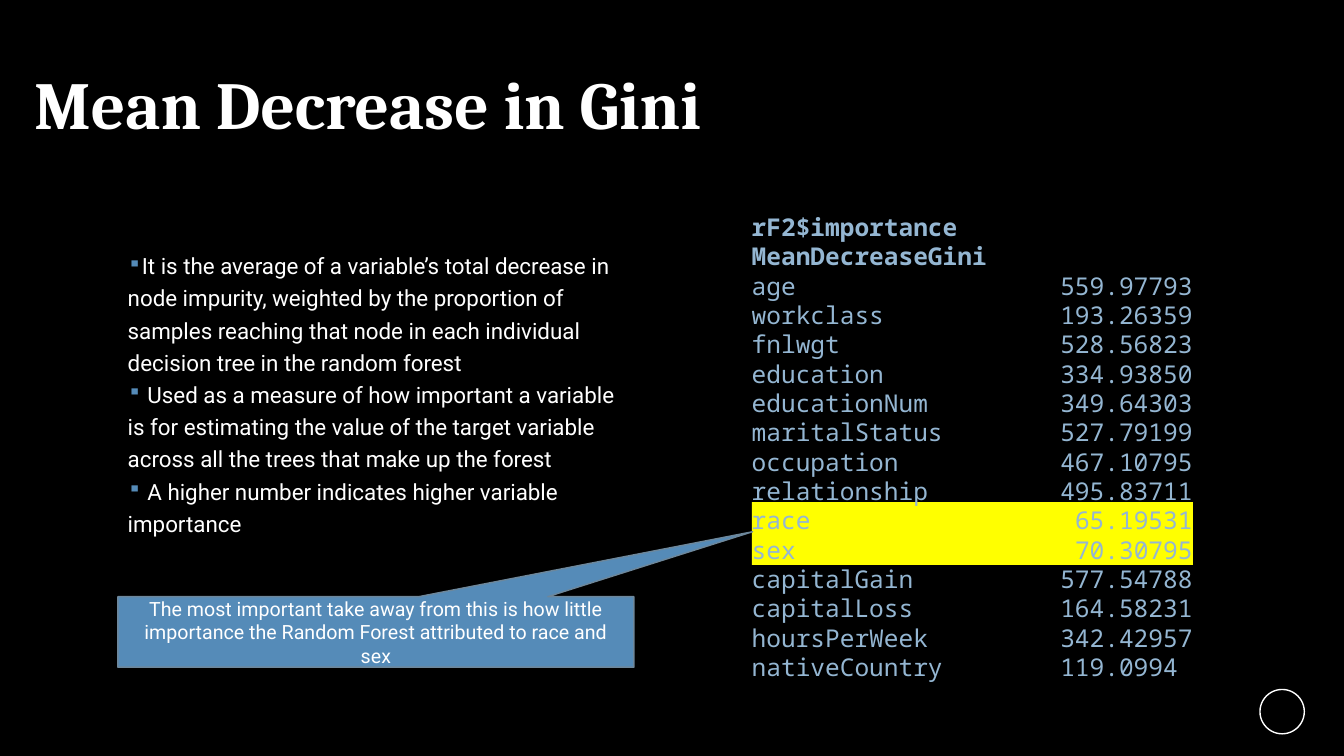
from lxml.etree import SubElement
from pptx import Presentation
from pptx.dml.color import RGBColor
from pptx.enum.shapes import MSO_SHAPE as Shape
from pptx.enum.text import MSO_ANCHOR as Anchor, PP_ALIGN as Align
from pptx.oxml.ns import qn
from pptx.util import Pt

COLORS = {
    "black": "000000",
    "white": "FFFFFF",
    "blue": "558BB8",
    "edge": "6D879B",
    "pale": "94B6D2",
    "yellow": "FFFF00",
}
BULLETS = [
    "It is the average of a variable’s total decrease in node impurity, weighted by the "
    "proportion of samples reaching that node in each individual decision tree in the random forest",
    " Used as a measure of how important a variable is for estimating the value of the target "
    "variable across all the trees that make up the forest",
    " A higher number indicates higher variable importance",
]
HEADINGS = ["rF2$importance", "MeanDecreaseGini"]
IMPORTANCE = [
    ("age", "559.97793"),
    ("workclass", "193.26359"),
    ("fnlwgt", "528.56823"),
    ("education", "334.93850"),
    ("educationNum", "349.64303"),
    ("maritalStatus", "527.79199"),
    ("occupation", "467.10795"),
    ("relationship", "495.83711"),
    ("race", "65.19531"),
    ("sex", "70.30795"),
    ("capitalGain", "577.54788"),
    ("capitalLoss", "164.58231"),
    ("hoursPerWeek", "342.42957"),
    ("nativeCountry", "119.0994"),
]
DECIMALS = 5
CHAR_WIDTH = 10.5
TABLE_WIDTH = 315


def color(name):
    return RGBColor.from_string(COLORS[name])


def write(frame, lines, font, size, ink, bold=False):
    frame.word_wrap = True
    for index, line in enumerate(lines):
        para = frame.paragraphs[0] if index == 0 else frame.add_paragraph()
        para.text = line
        para.font.name = font
        para.font.size = Pt(size)
        para.font.color.rgb = color(ink)
        para.font.bold = bold
    return frame.paragraphs


deck = Presentation()
deck.slide_width, deck.slide_height = Pt(960), Pt(540)
page = deck.slides.add_slide(deck.slide_layouts[6])
page.background.fill.solid()
page.background.fill.fore_color.rgb = color("black")

circle = page.shapes.add_shape(Shape.OVAL, Pt(900), Pt(492.5), Pt(31.7), Pt(31.7))
circle.shadow.inherit = False
circle.fill.background()
circle.line.color.rgb = color("white")
circle.line.width = Pt(1)

title = page.shapes.add_textbox(Pt(17.3), Pt(13.7), Pt(792), Pt(126.7)).text_frame
title.vertical_anchor = Anchor.MIDDLE
write(title, ["Mean Decrease in Gini"], "Cambria", 48, "white", True)[0].line_spacing = 0.9

body = page.shapes.add_textbox(Pt(84.2), Pt(172.8), Pt(374.4), Pt(313.2)).text_frame
for para in write(body, BULLETS, "Roboto", 16, "white"):
    para.line_spacing = 1.2
    props = para._p.get_or_add_pPr()
    props.set("marL", "0")
    props.set("indent", str(-Pt(14.4)))
    tint = SubElement(props, qn("a:buClr"))
    SubElement(tint, qn("a:srgbClr"), val=COLORS["blue"])
    SubElement(props, qn("a:buSzPct"), val="85000")
    SubElement(props, qn("a:buChar"), char="▪")
    props.append(props.find(qn("a:defRPr")))

band = page.shapes.add_shape(Shape.RECTANGLE, Pt(537.1), Pt(358.6), Pt(TABLE_WIDTH), Pt(45))
band.shadow.inherit = False
band.fill.solid()
band.fill.fore_color.rgb = color("yellow")
band.line.fill.background()

listing = page.shapes.add_textbox(Pt(529.9), Pt(148), Pt(345.6), Pt(365.8)).text_frame
rows = HEADINGS + [f"{name}\t{value}" for name, value in IMPORTANCE]
paras = write(listing, rows, "Noto Sans Mono", 17.5, "pale")
for para in paras:
    para.line_spacing = Pt(20.96)
for para in paras[:len(HEADINGS)]:
    para.font.bold = True
for para, (name, value) in zip(paras[len(HEADINGS):], IMPORTANCE):
    missing = DECIMALS - len(value.split(".")[1])
    stop = Pt(TABLE_WIDTH - missing * CHAR_WIDTH)
    props = para._p.get_or_add_pPr()
    tabs = SubElement(props, qn("a:tabLst"))
    SubElement(tabs, qn("a:tab"), pos=str(stop), algn="r")
    props.append(props.find(qn("a:defRPr")))

callout = page.shapes.add_shape(
    Shape.RECTANGULAR_CALLOUT, Pt(84.2), Pt(426.2), Pt(368.6), Pt(50.4))
callout.adjustments[0], callout.adjustments[1] = 0.73, -1.42
callout.shadow.inherit = False
callout.fill.solid()
callout.fill.fore_color.rgb = color("blue")
callout.line.color.rgb = color("edge")
callout.line.width = Pt(1)
callout.text_frame.vertical_anchor = Anchor.MIDDLE
takeaway = ("The most important take away from this is how little importance "
            "the Random Forest attributed to race and sex")
write(callout.text_frame, [takeaway], "Roboto", 14, "white")[0].alignment = Align.CENTER

deck.save("out.pptx")
